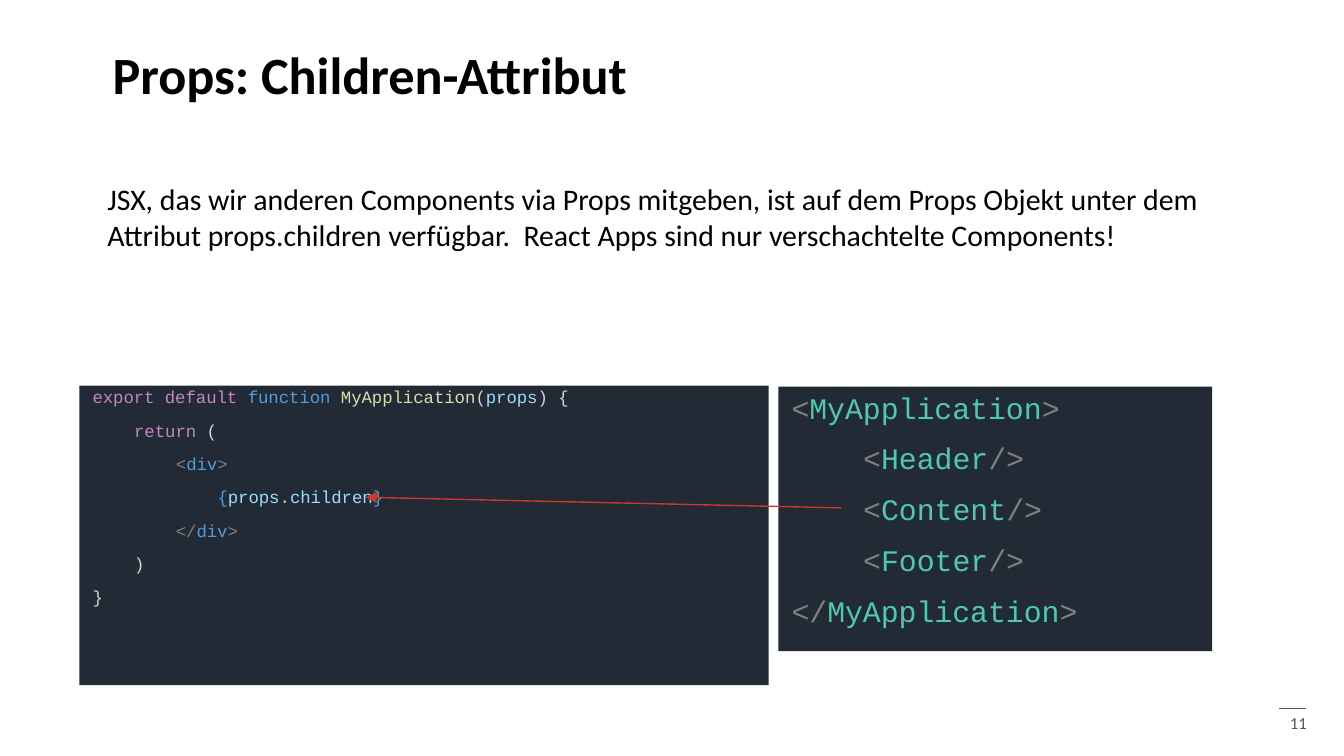
from typing import NamedTuple

from lxml import etree
from pptx import Presentation
from pptx import util as u
from pptx.dml.color import RGBColor
from pptx.enum import shapes, text
from pptx.oxml.ns import qn

COLORS = {
    "black": "000000", "footer": "565656", "arrow": "C8392F", "panel": "222A35",
    "keyword": "C586C0", "tag": "569CD6", "function": "DCDCAA", "plain": "D4D4D4",
    "variable": "9CDCFE", "bracket": "808080", "component": "4EC9B0",
}
BODY_FONT, CODE_FONT = "Calibri", "Courier New"
INDENT_CHARS = 4
CHAR_WIDTH = 0.6  # Courier advance relative to the font size


class Box(NamedTuple):
    left: float
    top: float
    width: float
    height: float

    def lengths(self) -> list[u.Length]:
        return [u.Cm(value) for value in self]


class Token(NamedTuple):
    code: str
    color: str


class CodeLine(NamedTuple):
    level: int
    tokens: list[Token]


class CodePanel(NamedTuple):
    box: Box
    size: float
    line_spacing: float
    lines: list[CodeLine]


class Label(NamedTuple):
    box: Box
    wording: str
    size: float
    color: str = "black"
    bold: bool = False
    align: text.PP_ALIGN = text.PP_ALIGN.LEFT
    anchor: text.MSO_ANCHOR = text.MSO_ANCHOR.TOP


class Stroke(NamedTuple):
    start: tuple[float, float]
    end: tuple[float, float]
    color: str
    arrow: bool = False


def line(level: int, *tokens: tuple[str, str]) -> CodeLine:
    return CodeLine(level, [Token(*token) for token in tokens])


def element(level: int, name: str, color: str, opening="<", closing=">") -> CodeLine:
    """A JSX tag: grey brackets around a coloured name."""
    return line(level, (opening, "bracket"), (name, color), (closing, "bracket"))


def rgb(name: str) -> RGBColor:
    return RGBColor.from_string(COLORS[name])


def style(font, family: str, size: float, color: str, bold: bool = False) -> None:
    font.name, font.size, font.bold = family, u.Pt(size), bold
    font.color.rgb = rgb(color)


def draw_label(slide, label: Label) -> None:
    frame = slide.shapes.add_textbox(*label.box.lengths()).text_frame
    frame.word_wrap = True
    frame.vertical_anchor = label.anchor
    frame.text = label.wording
    paragraph = frame.paragraphs[0]
    paragraph.alignment = label.align
    style(paragraph.runs[0].font, BODY_FONT, label.size, label.color, label.bold)


def draw_panel(slide, panel: CodePanel) -> None:
    background = slide.shapes.add_shape(
        shapes.MSO_SHAPE.RECTANGLE, *panel.box.lengths())
    background.shadow.inherit = False
    background.fill.solid()
    background.fill.fore_color.rgb = rgb("panel")
    background.line.fill.background()
    frame = background.text_frame
    frame.word_wrap = True
    frame.vertical_anchor = text.MSO_ANCHOR.TOP
    indent = u.Pt(INDENT_CHARS * CHAR_WIDTH * panel.size)
    for index, code_line in enumerate(panel.lines):
        paragraph = frame.add_paragraph() if index else frame.paragraphs[0]
        paragraph.alignment = text.PP_ALIGN.LEFT
        paragraph.line_spacing = panel.line_spacing
        paragraph.space_before = u.Pt(10)
        properties = paragraph._p.get_or_add_pPr()
        properties.set("marL", str(code_line.level * indent))
        properties.set("indent", "0")
        for token in code_line.tokens:
            run = paragraph.add_run()
            run.text = token.code
            style(run.font, CODE_FONT, panel.size, token.color)


def draw_stroke(slide, stroke: Stroke) -> None:
    connector = slide.shapes.add_connector(
        shapes.MSO_CONNECTOR.STRAIGHT,
        *[u.Cm(value) for value in stroke.start + stroke.end])
    connector.line.color.rgb = rgb(stroke.color)
    connector.line.width = u.Pt(0.75)
    if stroke.arrow:
        etree.SubElement(connector.line._get_or_add_ln(), qn("a:tailEnd"),
                         type="triangle")
    etree.SubElement(connector._element.spPr, qn("a:effectLst"))


LABELS = [
    Label(Box(23.65, 13.34, 1.3, 0.6), "11", 9, "footer", align=text.PP_ALIGN.RIGHT),
    Label(Box(1.88, 0.66, 21.64, 1.45), "Props: Children-Attribut", 28, bold=True,
          anchor=text.MSO_ANCHOR.MIDDLE),
    Label(Box(1.78, 3.3, 21.74, 1.63),
          "JSX, das wir anderen Components via Props mitgeben, ist auf dem Props "
          "Objekt unter dem Attribut props.children verfügbar.  React Apps sind nur "
          "verschachtelte Components!", 16),
]

PANELS = [
    CodePanel(Box(1.5, 7.29, 13.03, 5.66), 9.3, 0.7, [
        line(0, ("export default ", "keyword"), ("function ", "tag"),
             ("MyApplication", "function"), ("(", "plain"),
             ("props", "variable"), (") {", "plain")),
        line(1, ("return", "keyword"), (" (", "plain")),
        element(2, "div", "tag"),
        line(3, ("{", "tag"), ("props", "variable"), (".", "plain"),
             ("children", "variable"), ("}", "tag")),
        element(2, "div", "tag", opening="</"),
        line(1, (")", "plain")),
        line(0, ("}", "plain")),
    ]),
    CodePanel(Box(14.71, 7.31, 8.2, 5), 16, 0.9, [
        element(0, "MyApplication", "component"),
        *[element(1, child, "component", closing="/>")
          for child in ("Header", "Content", "Footer")],
        element(0, "MyApplication", "component", opening="</"),
    ]),
]

STROKES = [
    Stroke((24.18, 13.39), (24.69, 13.39), "footer"),
    Stroke((15.9, 9.6), (6.91, 9.4), "arrow", arrow=True),
]


def main() -> None:
    presentation = Presentation()
    presentation.slide_width, presentation.slide_height = u.Cm(25.4), u.Cm(14.29)
    slide = presentation.slides.add_slide(presentation.slide_layouts[6])
    for label in LABELS:
        draw_label(slide, label)
    for panel in PANELS:
        draw_panel(slide, panel)
    for stroke in STROKES:
        draw_stroke(slide, stroke)
    presentation.save("out.pptx")


if __name__ == "__main__":
    main()
